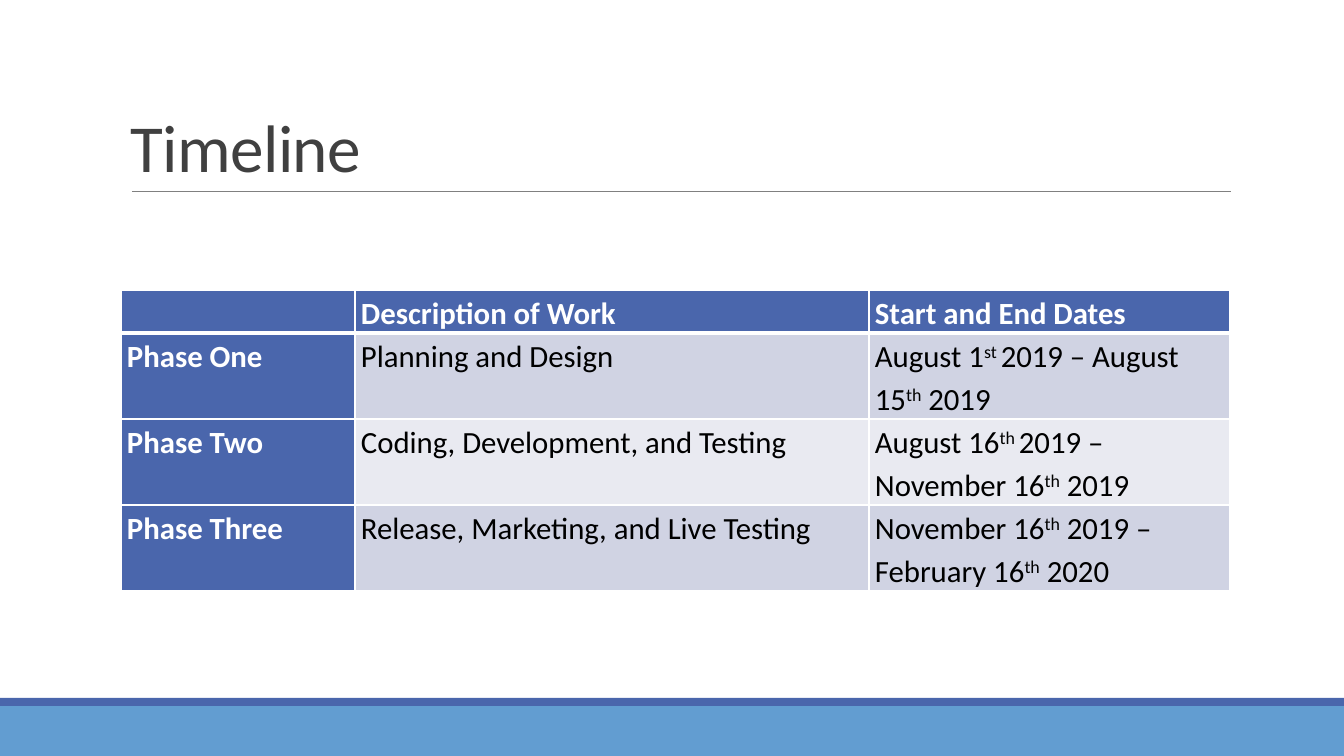
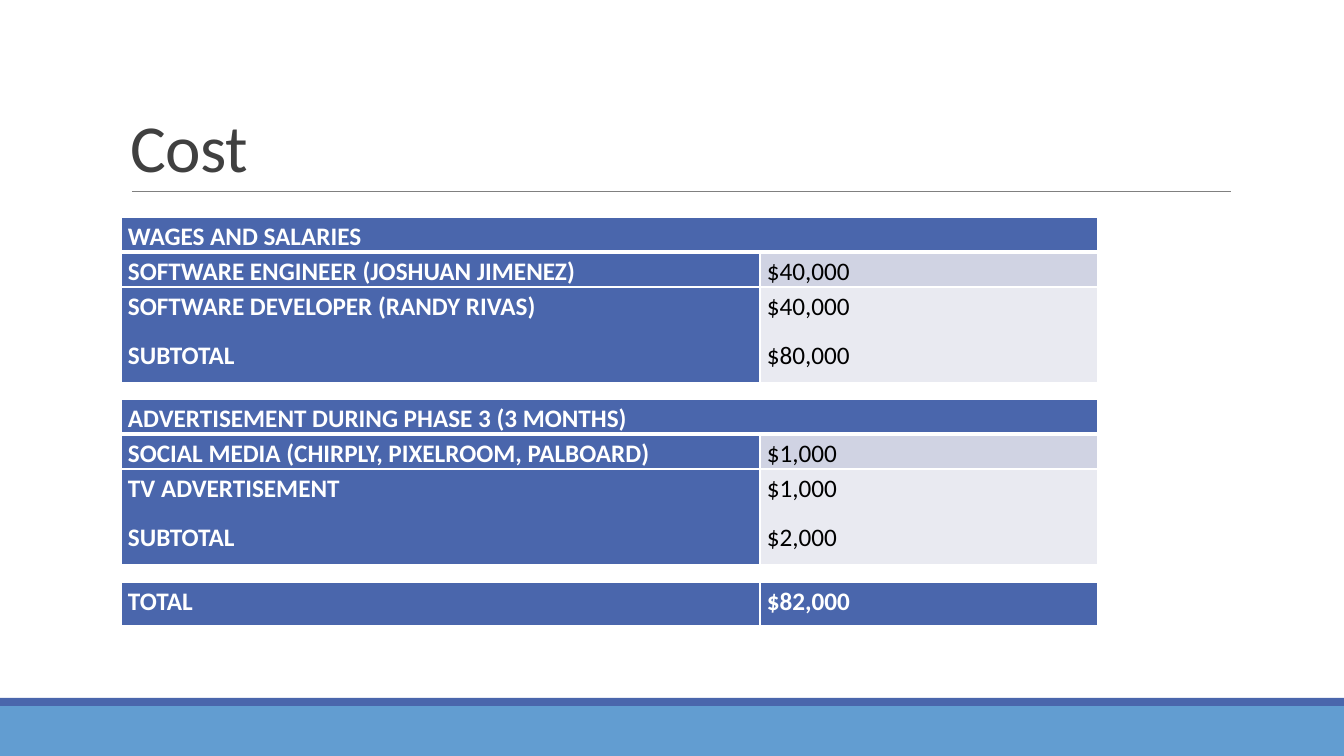
from pptx import Presentation
from pptx.dml.color import RGBColor
from pptx.enum.shapes import MSO_CONNECTOR, MSO_SHAPE
from pptx.enum.text import MSO_ANCHOR
from pptx.oxml.ns import qn
from pptx.util import Emu, Pt
from lxml.etree import SubElement

# Colours
WHITE = RGBColor(0xFF, 0xFF, 0xFF)
BLACK = RGBColor(0x00, 0x00, 0x00)
DARK_GREY = RGBColor(0x40, 0x40, 0x40)
RULE_GREY = RGBColor(0x80, 0x80, 0x80)
BLUE = RGBColor(0x4A, 0x66, 0xAC)
LIGHT_BLUE = RGBColor(0x62, 0x9D, 0xD1)
ROW_BANDS = (RGBColor(0xD0, 0xD3, 0xE3), RGBColor(0xE9, 0xEA, 0xF1))

# Layout in px
WIDTH, HEIGHT = 1344, 756
LEFT = 121
SCALE = 12192000 / WIDTH


def px(n):
    return Emu(round(n * SCALE))


class Deck:
    font = "Calibri"

    def __init__(self):
        self.prs = Presentation()
        self.prs.slide_width, self.prs.slide_height = px(WIDTH), px(HEIGHT)
        self.s = None

    def slide(self, title):
        self.s = self.prs.slides.add_slide(self.prs.slide_layouts[6])
        self.band(706, 50, LIGHT_BLUE)
        self.band(698, 8, BLUE)
        self.rule(132, 1231, 191)
        self.title(title)

    def band(self, top, height, color):
        sp = self.s.shapes.add_shape(MSO_SHAPE.RECTANGLE, 0, px(top), px(WIDTH), px(height))
        sp.shadow.inherit = False
        sp.fill.solid()
        sp.fill.fore_color.rgb = color
        sp.line.fill.background()

    def rule(self, left, right, y):
        line = self.s.shapes.add_connector(
            MSO_CONNECTOR.STRAIGHT, px(left), px(y), px(right), px(y))
        line.line.color.rgb = RULE_GREY
        line.line.width = Pt(0.5)
        SubElement(line._element.spPr, qn("a:effectLst"))

    def title(self, text):
        tf = self.s.shapes.add_textbox(px(LEFT), px(31), px(1109), px(160)).text_frame
        tf.word_wrap = True
        tf.vertical_anchor = MSO_ANCHOR.BOTTOM
        p = tf.paragraphs[0]
        p.text = text
        p.line_spacing = 0.85
        r = p.runs[0]
        self.style(r, 48, DARK_GREY, False)
        r._r.get_or_add_rPr().set("spc", "-50")

    def style(self, r, size, color, bold):
        r.font.name = self.font
        r.font.size = Pt(size)
        r.font.color.rgb = color
        r.font.bold = bold

    def table(self, top, cols, heights, rows, size, inset, space_after=0):
        """Header row and column are blue; None joins a cell to the one before."""
        frame = self.s.shapes.add_table(
            len(rows), len(cols), px(LEFT), px(top), px(sum(cols)), px(sum(heights)))
        table = frame.table
        for column, width in zip(table.columns, cols):
            column.width = px(width)
        for i, (row, height) in enumerate(zip(rows, heights)):
            table.rows[i].height = px(height)
            for j, text in enumerate(row):
                cell = table.cell(i, j)
                header = i == 0 or j == 0
                self.borders(cell, top=3 if i == 1 else 1, bottom=3 if i == 0 else 1)
                cell.fill.solid()
                cell.fill.fore_color.rgb = BLUE if header else ROW_BANDS[(i - 1) % 2]
                cell.margin_left = cell.margin_right = px(inset)
                cell.margin_top = cell.margin_bottom = 0
                if text is None:
                    table.cell(i, j - 1).merge(cell)
                else:
                    self.cell_text(cell, text, size, header, space_after)

    def borders(self, cell, top, bottom):
        tcPr = cell._tc.get_or_add_tcPr()
        for side, width in (("L", 1), ("R", 1), ("T", top), ("B", bottom)):
            ln = SubElement(tcPr, qn("a:ln" + side), w=str(Pt(width)))
            fill = SubElement(ln, qn("a:solidFill"))
            SubElement(fill, qn("a:srgbClr"), val=str(WHITE))

    def cell_text(self, cell, text, size, header, space_after):
        """Each line is a paragraph; text between ^ marks is superscript."""
        tf = cell.text_frame
        for n, line in enumerate(text.split("\n")):
            p = tf.add_paragraph() if n else tf.paragraphs[0]
            p.line_spacing = 1.15
            p.space_after = Pt(space_after)
            for k, part in enumerate(line.split("^")):
                if not part:
                    continue
                r = p.add_run()
                r.text = part
                self.style(r, size, WHITE if header else BLACK, header)
                if k % 2:
                    r._r.get_or_add_rPr().set("baseline", "30000")


def main():
    deck = Deck()

    # Timeline
    deck.slide("Timeline")
    deck.table(290, (234, 514, 361), (43, 86, 86, 86), (
        ("", "Description of Work", "Start and End Dates"),
        ("Phase One", "Planning and Design", "August 1^st ^2019 – August 15^th^ 2019"),
        ("Phase Two", "Coding, Development, and Testing",
         "August 16^th ^2019 – November 16^th^ 2019"),
        ("Phase Three", "Release, Marketing, and Live Testing",
         "November 16^th^ 2019 – February 16^th^ 2020"),
    ), size=22, inset=6)

    # Cost
    deck.slide("Cost")
    cost_tables = (
        (217, (35, 35, 96), (
            ("WAGES AND SALARIES", None),
            ("SOFTWARE ENGINEER (JOSHUAN JIMENEZ)", "$40,000"),
            ("SOFTWARE DEVELOPER (RANDY RIVAS)\nSUBTOTAL", "$40,000\n$80,000"))),
        (399, (35, 35, 96), (
            ("ADVERTISEMENT DURING PHASE 3 (3 MONTHS)", None),
            ("SOCIAL MEDIA (CHIRPLY, PIXELROOM, PALBOARD)", "$1,000"),
            ("TV ADVERTISEMENT\nSUBTOTAL", "$1,000\n$2,000"))),
        (582, (45,), (("TOTAL", "$82,000"),)),
    )
    for top, heights, rows in cost_tables:
        deck.table(top, (639, 338), heights, rows, size=18, inset=7, space_after=10)

    deck.prs.save("out.pptx")


if __name__ == "__main__":
    main()
